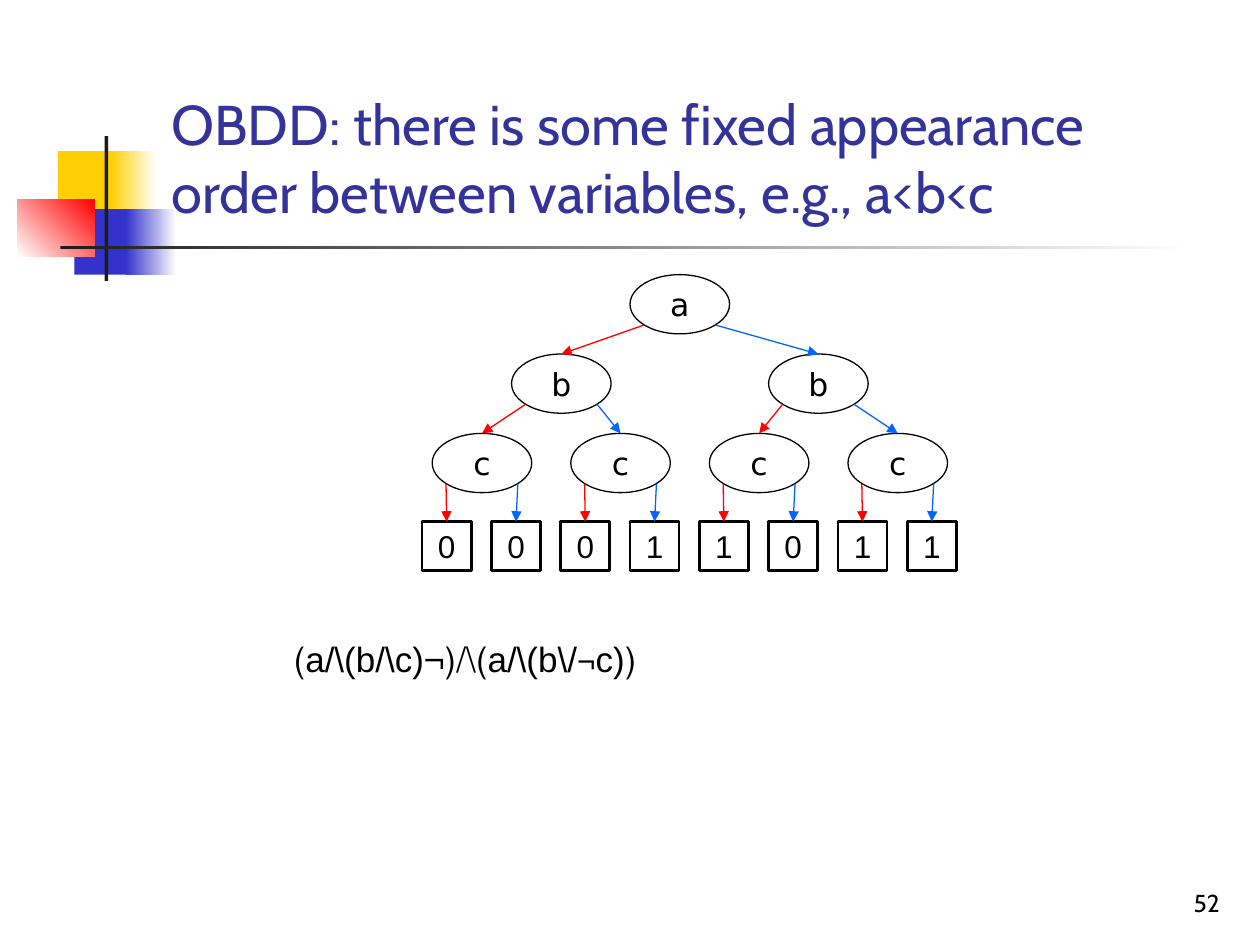
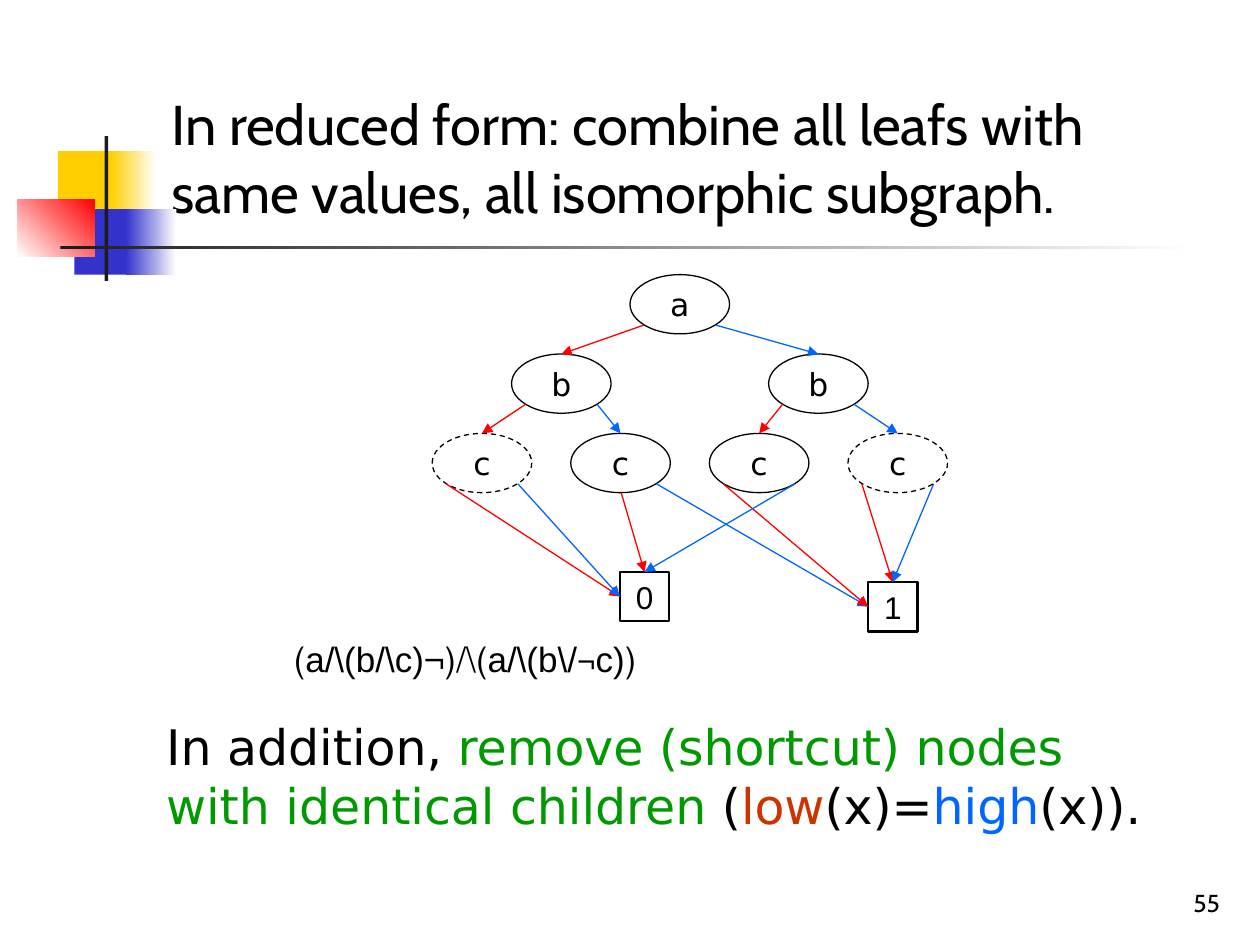
"""Build two slides on ordered and reduced binary decision diagrams."""
from dataclasses import dataclass
from typing import Any, NamedTuple, Optional

from lxml.etree import SubElement as Sub
from pptx import Presentation
from pptx.dml.color import RGBColor as Rgb
from pptx.enum.dml import MSO_LINE as Dash
from pptx.enum.shapes import MSO_CONNECTOR as Link, MSO_SHAPE as Kind
from pptx.enum.text import MSO_ANCHOR as Anchor, MSO_AUTO_SIZE as Fit, PP_ALIGN as Align
from pptx.oxml.ns import qn
from pptx.util import Inches, Pt

BLACK = Rgb(0x00, 0x00, 0x00)
WHITE = Rgb(0xFF, 0xFF, 0xFF)
INK = Rgb(0x1C, 0x1C, 0x1C)
NAVY = Rgb(0x33, 0x33, 0x99)
INDIGO = Rgb(0x33, 0x33, 0xCC)
YELLOW = Rgb(0xFF, 0xCF, 0x01)
RED = Rgb(0xFF, 0x00, 0x00)
BLUE = Rgb(0x00, 0x66, 0xFF)
GREEN = Rgb(0x00, 0x99, 0x00)
RUST = Rgb(0xCC, 0x33, 0x00)

SANS, HEAD, PLAIN = "DejaVu Sans", "Cabin", "Arial"
OVAL = (0.79, 0.47)
SIDE = 0.39


class Run(NamedTuple):
    text: str
    size: float
    font: str
    color: Rgb = BLACK


class Band(NamedTuple):
    box: tuple[float, float, float, float]
    start: Rgb
    stop: Optional[Rgb] = None
    angle: float = 0


class Port(NamedTuple):
    x: float
    y: float
    color: Rgb


class Node(NamedTuple):
    name: str
    left: float
    top: float


class Edge(NamedTuple):
    node: int
    port: str
    leaf: int
    side: int = 0


@dataclass
class Page:
    title: str
    color: Rgb
    number: str
    leaves: list[Node]
    edges: list[Edge]
    dashed: tuple[int, ...] = ()
    note: tuple[Run, ...] = ()


BANDS = [
    Band((0.46, 1.2, 0.48, 0.52), YELLOW),
    Band((0.88, 1.2, 0.36, 0.52), YELLOW, WHITE),
    Band((0.59, 1.66, 0.46, 0.52), INDIGO),
    Band((1, 1.66, 0.4, 0.52), INDIGO, WHITE),
    Band((0.14, 1.58, 0.61, 0.46), WHITE, RED, 45),
    Band((0.83, 1.08, 0.03, 1.15), INK),
    Band((0.48, 1.95, 9, 0.03), INK, WHITE),
]
PORTS = {"low": Port(0.11, 0.4, RED), "high": Port(0.68, 0.4, BLUE), "mid": Port(0.4, 0.47, RED)}
NODES = [
    Node("a", 5, 2.18),
    Node("b", 4.06, 2.81),
    Node("b", 6.1, 2.81),
    *(Node("c", 3.43 + 1.1 * i, 3.44) for i in range(4)),
]
FORMULA = (
    Run("(a/\\(b\\/", 20, PLAIN),
    Run("¬", 18, PLAIN),
    Run("c))\\/(¬a/\\(b/\\c))", 20, PLAIN),
)
NOTE = (
    Run("In addition, ", 28, SANS),
    Run("remove (shortcut) nodes with identical children", 28, SANS, GREEN),
    Run(" (", 28, SANS),
    Run("low", 28, SANS, RUST),
    Run("(x)=", 28, SANS),
    Run("high", 28, SANS, BLUE),
    Run("(x)).", 28, SANS),
)
PAGES = [
    Page(
        "OBDD: there is some fixed appearance order between variables, e.g., a<b<c",
        NAVY,
        "52",
        [Node(bit, 3.35 + 0.55 * i, 4.14) for i, bit in enumerate("00011011")],
        [Edge(3 + i // 2, ("low", "high")[i % 2], i) for i in range(8)],
    ),
    Page(
        "In reduced form: combine all leafs with same values, all isomorphic subgraph.",
        BLACK,
        "55",
        [Node("0", 4.92, 4.54), Node("1", 6.89, 4.62)],
        [
            Edge(3, "low", 0, 1),
            Edge(3, "high", 0, 1),
            Edge(4, "mid", 0),
            Edge(4, "high", 1, 1),
            Edge(5, "low", 1, 1),
            Edge(5, "high", 0),
            Edge(6, "low", 1),
            Edge(6, "high", 1),
        ],
        dashed=(3, 6),
        note=NOTE,
    ),
]


def apply(item: Any, form: dict[str, Any]) -> None:
    """Set every attribute named in the format dict."""
    for name, value in form.items():
        setattr(item, name, value)


def write(frame: Any, runs: tuple[Run, ...], align: Align, rtl: bool = False, **form: Any) -> None:
    """Fill a text frame with one paragraph of formatted runs."""
    apply(frame, {"auto_size": Fit.NONE, "word_wrap": True, **form})
    para = frame.paragraphs[0]
    para.alignment = align
    if rtl:
        para._p.get_or_add_pPr().set("rtl", "1")
    for part in runs:
        run = para.add_run()
        run.text = part.text
        apply(run.font, {"size": Pt(part.size), "name": part.font})
        run.font.color.rgb = part.color


def place(slide: Any, kind: Kind, box: tuple[float, ...]) -> Any:
    """Add a preset shape without a shadow."""
    shape = slide.shapes.add_shape(kind, *map(Inches, box))
    shape.shadow.inherit = False
    return shape


def add_band(slide: Any, band: Band) -> None:
    """Draw one solid or fading piece of the slide decoration."""
    shape = place(slide, Kind.RECTANGLE, band.box)
    shape.line.fill.background()
    if band.stop is None:
        shape.fill.solid()
        shape.fill.fore_color.rgb = band.start
        return
    shape.fill.gradient()
    shape.fill.gradient_angle = band.angle
    for stop, color, spot in zip(shape.fill.gradient_stops, (band.start, band.stop), (0, 1)):
        stop.color.rgb = color
        stop.position = spot


def add_node(slide: Any, node: Node, kind: Kind, size: tuple[float, float], width: float) -> Any:
    """Draw a labelled, outlined node of the diagram."""
    shape = place(slide, kind, (node.left, node.top, *size))
    shape.fill.background()
    shape.line.color.rgb = BLACK
    shape.line.width = Pt(width)
    label = (Run(node.name, 18, SANS),)
    write(shape.text_frame, label, Align.CENTER, True,
          word_wrap=False, vertical_anchor=Anchor.MIDDLE)
    return shape


def add_leaf(slide: Any, leaf: Node) -> Any:
    """Draw a square leaf whose digit also has a right-to-left font."""
    shape = add_node(slide, leaf, Kind.RECTANGLE, (SIDE, SIDE), 1.5)
    props = shape.text_frame.paragraphs[0].runs[0]._r.get_or_add_rPr()
    Sub(props, qn("a:cs")).set("typeface", PLAIN)
    return shape


def add_edge(slide: Any, node: Node, port: Port, goal: Any, side: int = 0) -> None:
    """Draw an arrow from a port of a node to a side of the goal."""
    start = Inches(node.left + port.x), Inches(node.top + port.y)
    link = slide.shapes.add_connector(Link.STRAIGHT, *start, *start)
    link.end_connect(goal, side)
    link.line.color.rgb = port.color
    link.line.width = Pt(0.75)
    props = link._element.spPr
    Sub(props.find(qn("a:ln")), qn("a:tailEnd")).set("type", "triangle")
    Sub(props, qn("a:effectLst"))


def add_text(slide: Any, box: tuple[float, ...], runs: tuple[Run, ...], align: Align,
             rtl: bool = False, **form: Any) -> None:
    """Add a wrapped text box."""
    frame = slide.shapes.add_textbox(*map(Inches, box)).text_frame
    write(frame, runs, align, rtl, **form)


def add_tree(slide: Any, page: Page) -> None:
    """Draw the decision nodes, the leaves and the arrows between them."""
    ovals = [add_node(slide, node, Kind.OVAL, OVAL, 0.75) for node in NODES]
    for i in page.dashed:
        ovals[i].line.dash_style = Dash.DASH
    for i in range(1, len(NODES)):
        port = PORTS["low" if i % 2 else "high"]
        add_edge(slide, NODES[(i - 1) // 2], port, ovals[i])
    leaves = [add_leaf(slide, leaf) for leaf in page.leaves]
    for edge in page.edges:
        add_edge(slide, NODES[edge.node], PORTS[edge.port], leaves[edge.leaf], edge.side)


def add_page(deck: Any, page: Page) -> None:
    """Build one slide from its description."""
    slide = deck.slides.add_slide(deck.slide_layouts[5])
    for band in BANDS:
        add_band(slide, band)
    title = slide.shapes.title
    spot = {"left": 1.26, "top": 0.23, "width": 8.52, "height": 1.6}
    apply(title, {name: Inches(value) for name, value in spot.items()})
    write(title.text_frame, (Run(page.title, 32, HEAD, page.color),), Align.LEFT,
          vertical_anchor=Anchor.BOTTOM)
    add_text(slide, (7.7, 6.83, 2.08, 0.5), (Run(page.number, 14, HEAD),), Align.RIGHT,
             vertical_anchor=Anchor.BOTTOM)
    add_text(slide, (1.61, 5.01, 3.54, 0.44), FORMULA, Align.RIGHT, True)
    add_tree(slide, page)
    if page.note:
        add_text(slide, (1.22, 5.64, 8.19, 1.04), page.note, Align.LEFT)


def main() -> None:
    """Create and save the deck."""
    deck = Presentation()
    apply(deck, {"slide_width": Inches(10), "slide_height": Inches(7.5)})
    for page in PAGES:
        add_page(deck, page)
    deck.save("out.pptx")


if __name__ == "__main__":
    main()
